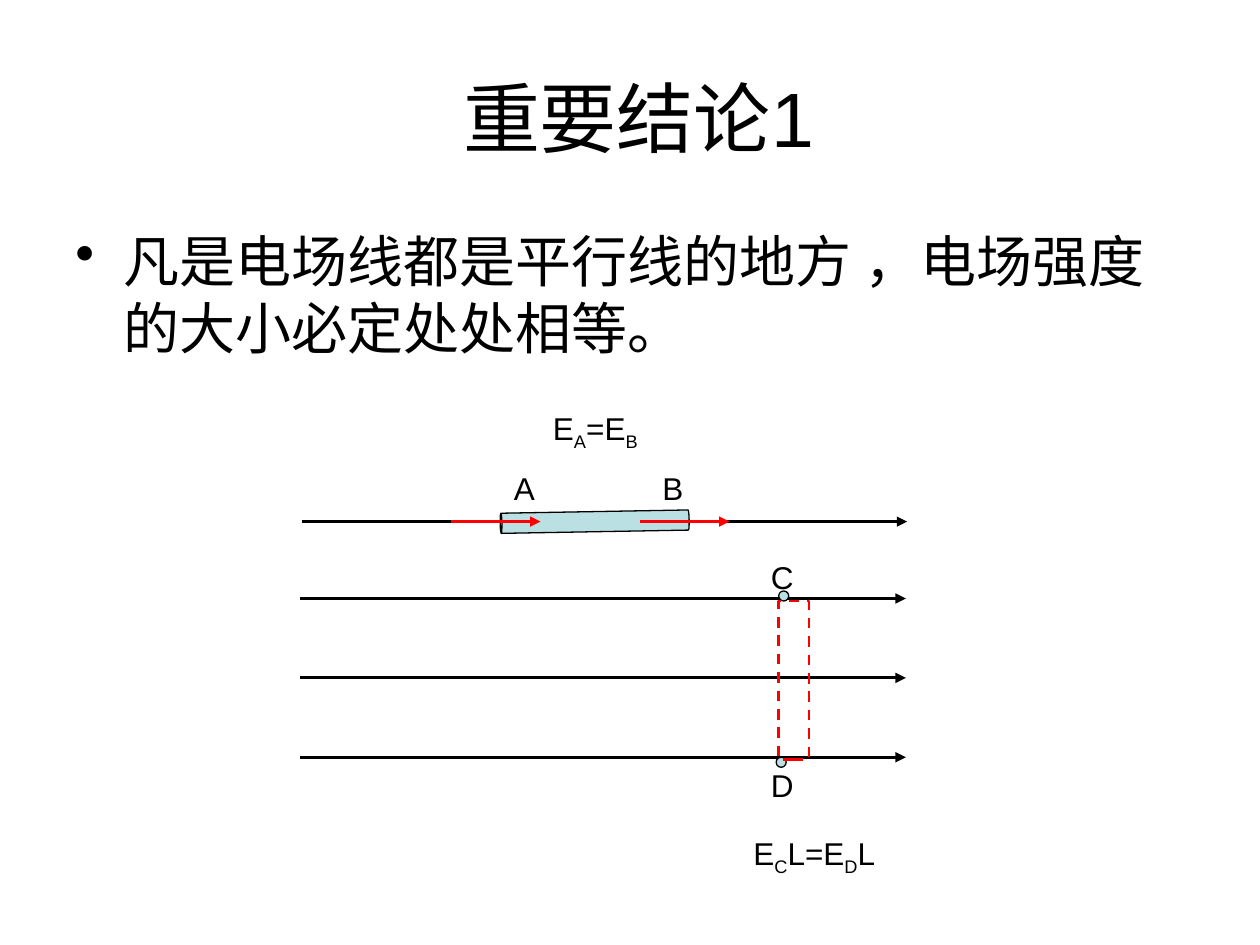
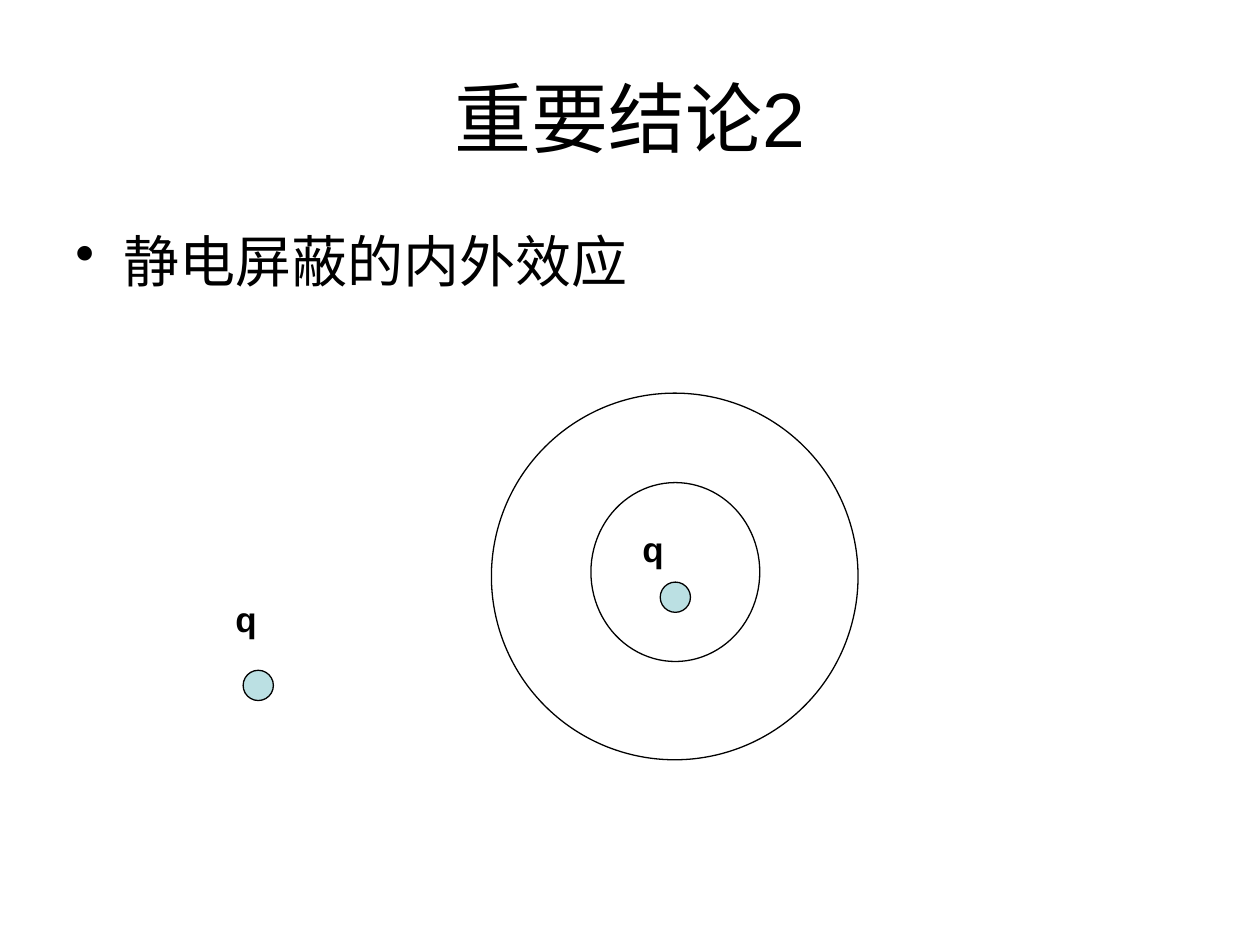
import pptx
import pptx.util
import pptx.dml.color
import pptx.enum.dml
import pptx.enum.shapes
import pptx.enum.text
import lxml.etree
from dataclasses import dataclass
from pptx.oxml.ns import qn

Inches = pptx.util.Inches
Pt = pptx.util.Pt
Kind = pptx.enum.shapes.MSO_SHAPE
Align = pptx.enum.text.PP_ALIGN


@dataclass(frozen=True)
class Theme:
    font: str = "Arial"
    black: pptx.dml.color.RGBColor = pptx.dml.color.RGBColor(0, 0, 0)
    red: pptx.dml.color.RGBColor = pptx.dml.color.RGBColor(0xFF, 0, 0)
    aqua: pptx.dml.color.RGBColor = pptx.dml.color.RGBColor(0xBB, 0xE0, 0xE3)
    title: float = 44
    body: float = 32
    charge: float = 20
    label: float = 18
    thin: float = 0.75
    force: float = 1.5
    field: float = 1.75


theme = Theme()


def write(slide, box, parts, size, align=Align.LEFT, bold=False, bullet=False):
    """Add a text box; every second part is set as a subscript."""
    frame = slide.shapes.add_textbox(*map(Inches, box)).text_frame
    frame.word_wrap = True
    para = frame.paragraphs[0]
    para.alignment = align
    if bullet:
        props = para._p.get_or_add_pPr()
        props.set("marL", str(Inches(0.38)))
        props.set("indent", str(-Inches(0.38)))
        lxml.etree.SubElement(props, qn("a:buChar")).set("char", "•")
    font = para.font
    font.name, font.size, font.bold = theme.font, Pt(size), bold
    font.color.rgb = theme.black
    for i, part in enumerate(parts):
        run = para.add_run()
        run.text = part
        if i % 2:
            run._r.get_or_add_rPr().set("baseline", "-25000")
    return frame


def draw(slide, kind, box, fill=None, line=theme.black, width=theme.thin):
    shape = slide.shapes.add_shape(kind, *map(Inches, box))
    shape.shadow.inherit = False
    if fill is None:
        shape.fill.background()
    else:
        shape.fill.solid()
        shape.fill.fore_color.rgb = fill
    shape.line.color.rgb = line
    shape.line.width = Pt(width)
    return shape


deck = pptx.Presentation()
deck.slide_width, deck.slide_height = Inches(10), Inches(7.5)

# Title and bullet on both slides
pages = []
for title, point in [
    (" 重要结论1", "凡是电场线都是平行线的地方 ，电场强度的大小必定处处相等。"),
    ("重要结论2", "静电屏蔽的内外效应"),
]:
    page = deck.slides.add_slide(deck.slide_layouts[6])
    head = write(page, (0.5, 0.3, 9, 1.25), [title], theme.title, Align.CENTER)
    head.vertical_anchor = pptx.enum.text.MSO_ANCHOR.MIDDLE
    write(page, (0.5, 1.75, 9, 4.95), [point], theme.body, bullet=True)
    pages.append(page)
field, shield = pages

# Slide 1: field lines, the tube between A and B, and the force arrows on it
arrows = [(2.4, 7.2, 4.14, theme.black, theme.field)]
arrows += [(2.38, 7.19, y, theme.black, theme.field) for y in (4.75, 5.38, 6.01)]
arrows += [(x, x + 0.71, 4.14, theme.red, theme.force) for x in (3.58, 5.08)]
for left, right, y, color, width in arrows:
    if left == 3.58:
        tube = draw(field, Kind.CAN, (4.64, 3.39, 0.16, 1.5), theme.aqua)
        tube.adjustments[0] = 0.087
        tube.rotation = 269
    arrow = field.shapes.add_connector(
        pptx.enum.shapes.MSO_CONNECTOR.STRAIGHT,
        Inches(left), Inches(y), Inches(right), Inches(y))
    arrow.line.color.rgb = color
    arrow.line.width = Pt(width)
    tip = lxml.etree.SubElement(arrow.line._get_or_add_ln(), qn("a:tailEnd"))
    tip.set("type", "triangle")
    lxml.etree.SubElement(arrow._element.spPr, qn("a:effectLst"))

for name, x, y in [("A", 3.98, 3.67), ("B", 5.16, 3.67),
                   ("C", 6.02, 4.38), ("D", 6.02, 6.03)]:
    write(field, (x, y, 0.34, 0.4), [name], theme.label)
write(field, (4.29, 3.2, 1.84, 0.44), ["E", "A", "=E", "B"], theme.label)
write(field, (5.88, 6.57, 1.48, 0.44), ["E", "C", "L=E", "D", "L"], theme.label)

for x, y in [(6.18, 4.69), (6.16, 6.01)]:
    draw(field, Kind.OVAL, (x, y, 0.08, 0.08), theme.aqua)
loop = draw(field, Kind.RECTANGLE, (6.18, 4.77, 0.24, 1.26),
            line=theme.red, width=theme.force)
loop.line.dash_style = pptx.enum.dml.MSO_LINE.DASH

# Slide 2: the hollow shell, with one charge outside and one inside
for shell in [(3.9, 3.12, 2.91, 2.91), (4.69, 3.83, 1.34, 1.42)]:
    draw(shield, Kind.OVAL, shell)
for dot, tag in [((1.93, 5.32), (1.77, 4.69)), ((5.24, 4.62), (5, 4.14))]:
    draw(shield, Kind.OVAL, (*dot, 0.24, 0.24), theme.aqua)
    write(shield, (*tag, 0.71, 0.44), ["q"], theme.charge, bold=True)

deck.save("out.pptx")
